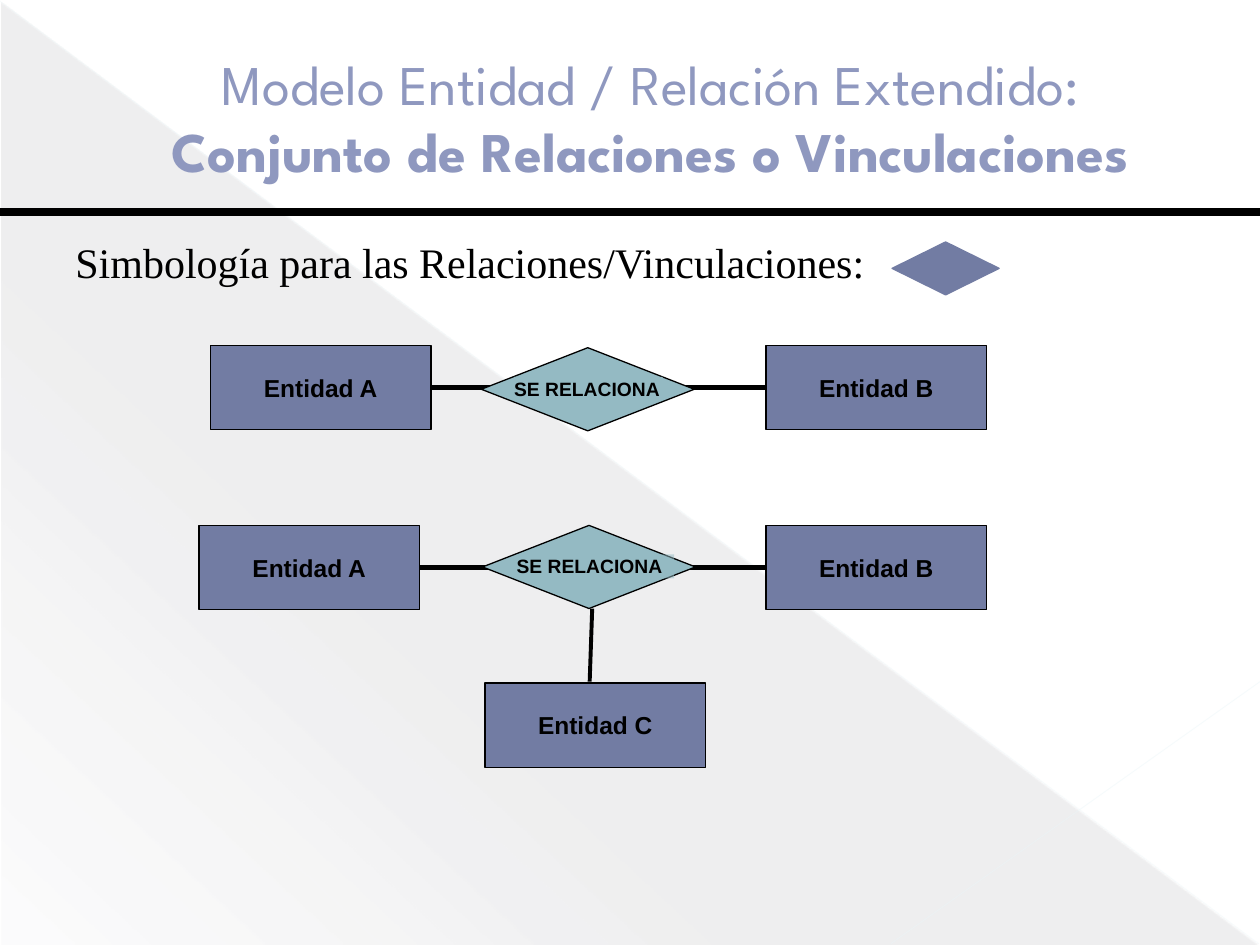
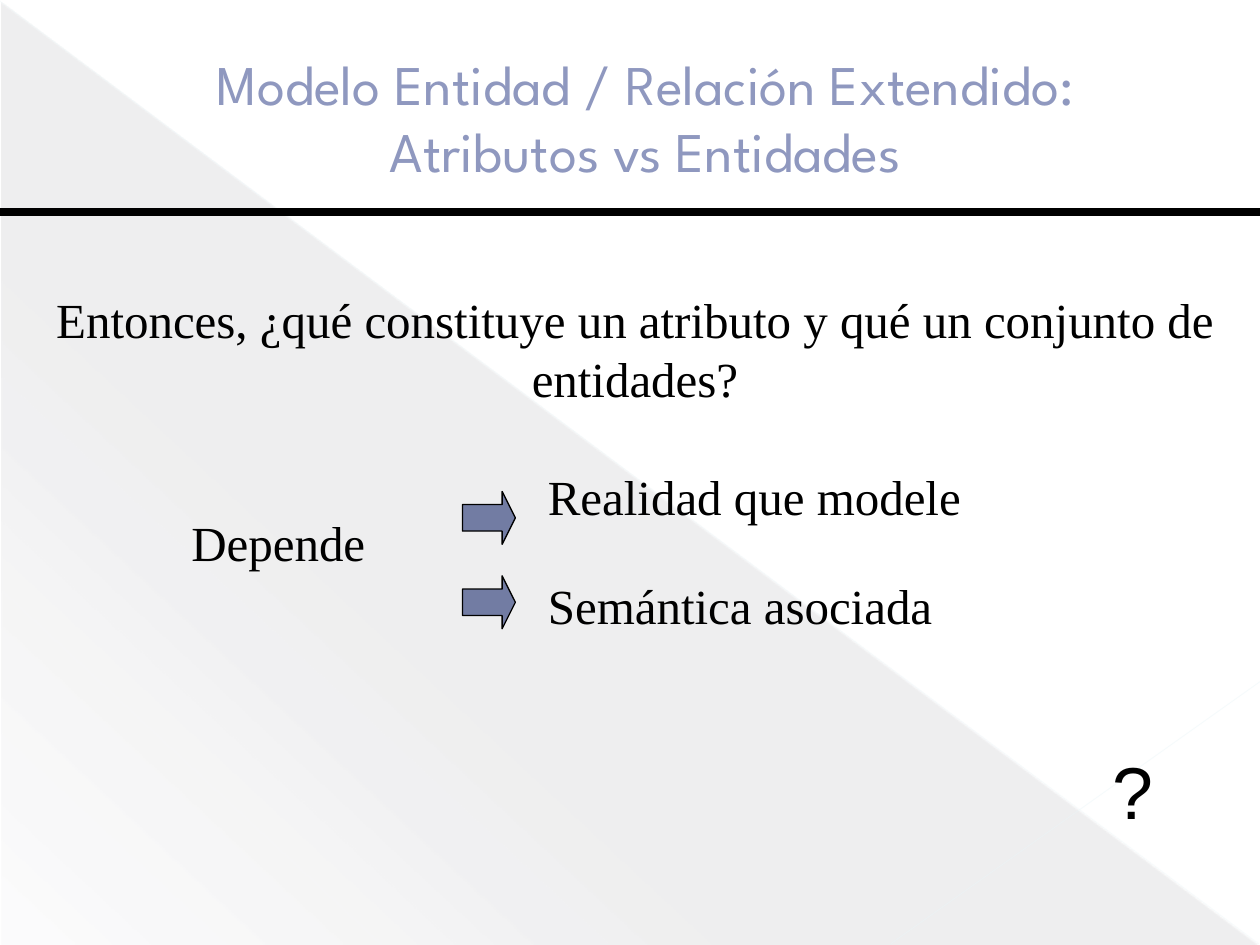
from lxml import etree
from pptx import Presentation
from pptx.dml.color import RGBColor
from pptx.enum.shapes import MSO_CONNECTOR, MSO_SHAPE
from pptx.enum.text import MSO_ANCHOR, MSO_AUTO_SIZE, PP_ALIGN
from pptx.oxml import parse_xml
from pptx.oxml.ns import nsdecls, qn
from pptx.util import Emu, Pt

PX = 9144  # EMU; 100 px to the inch
WIDTH, HEIGHT = 1000, 750
TITLE_ONLY = 5

STRAIGHT = MSO_CONNECTOR.STRAIGHT
RECTANGLE, DIAMOND = MSO_SHAPE.RECTANGLE, MSO_SHAPE.DIAMOND
RIGHT_ARROW, TRIANGLE = MSO_SHAPE.RIGHT_ARROW, MSO_SHAPE.RIGHT_TRIANGLE
LEFT, CENTER, RIGHT = PP_ALIGN.LEFT, PP_ALIGN.CENTER, PP_ALIGN.RIGHT
TOP, MIDDLE = MSO_ANCHOR.TOP, MSO_ANCHOR.MIDDLE
NO_FIT, GROW = MSO_AUTO_SIZE.NONE, MSO_AUTO_SIZE.SHAPE_TO_FIT_TEXT
LEFT_SIDE, RIGHT_SIDE = 1, 3

COLORS = {
    "ink": "000000",
    "title": "8F98BF",
    "title_edge": "4F5671",
    "entity": "727CA3",
    "relation": "94BAC3",
    "shade": "464653",
    "diagonal": "E9F6F9",
    "corner": "EBF6F9",
}
TITLE_FONT, BODY_FONT, LABEL_FONT = "League Spartan", "Times New Roman", "Arial"
SHADE_STOPS = ((0, 10), (70, 8), (100, 1))  # position and opacity, in percent
SHADE_ANGLE = 133
ENTITY_SIZE = (175, 67)
RELATION_SIZE = (169, 66)


def px(*lengths):
    return [Emu(length * PX) for length in lengths]


def rgb(name):
    return RGBColor.from_string(COLORS[name])


def set_opacity(element, percent):
    color = next(element.iter(qn("a:srgbClr")))
    etree.SubElement(color, qn("a:alpha")).set("val", str(percent * 1000))


def write(shape, text, size=28, font=BODY_FONT, color="ink", bold=False,
          bold_last=False, edge=None, align=LEFT, anchor=TOP, wrap=True,
          fit=NO_FIT, inset=None):
    """Fill a shape with one paragraph; each newline is a line break."""
    frame = shape.text_frame
    frame.word_wrap, frame.auto_size, frame.vertical_anchor = wrap, fit, anchor
    if inset is not None:
        (frame.margin_left, frame.margin_top,
         frame.margin_right, frame.margin_bottom) = px(*inset)
    para = frame.paragraphs[0]
    para.alignment = align
    lines = text.split("\n")
    for number, line in enumerate(lines, 1):
        if number > 1:
            para.add_line_break()
        span = para.add_run()
        span.text = line
        span.font.name, span.font.size = font, Pt(size)
        span.font.bold = bold or (bold_last and number == len(lines))
        span.font.color.rgb = rgb(color)
        if edge:
            span.font.color  # the outline goes before the fill
            outline = parse_xml(
                f'<a:ln {nsdecls("a")} w="{Pt(0.5)}"><a:solidFill>'
                f'<a:srgbClr val="{COLORS[edge]}"/></a:solidFill></a:ln>')
            span.font.fill._xPr.insert(0, outline)


class SlideBuilder:
    """Holds the deck, its shared layout and the current page."""

    def __init__(self):
        self.deck = Presentation()
        self.deck.slide_width, self.deck.slide_height = px(WIDTH, HEIGHT)
        self.layout = self.deck.slide_layouts[TITLE_ONLY]
        self.page = None

    def new_page(self, title, left, bold_last=False):
        first = self.page is None
        self.page = self.deck.slides.add_slide(self.layout)
        if first:
            self.decorate_layout()
        box = self.page.shapes.title
        box.left, box.top, box.width, box.height = px(left, 30, WIDTH - left, 125)
        write(box, title, size=32, font=TITLE_FONT, color="title",
              edge="title_edge", bold_last=bold_last, align=CENTER, anchor=MIDDLE)

    def decorate_layout(self):
        """Draw the shared background and move it into the layout."""
        shade = self.shape(TRIANGLE, (1, 2, 998, 748), "shade")
        self.fade(shade)
        diagonal = self.line((0, 1), (999, 749), 0.39, "diagonal", opacity=35)
        corner = self.line((1000, 541), (707, 749), 0.47, "corner", opacity=45)
        rule = self.line((0, 168), (WIDTH, 168), 4.5)
        tree = self.layout.shapes.element
        for number, item in enumerate((shade, diagonal, corner, rule)):
            item.element.xpath(".//p:cNvPr")[0].set("id", str(100 + number))
            tree.insert(2 + number, item.element)

    def fade(self, shape):
        stops = "".join(
            f'<a:gs pos="{position * 1000}"><a:srgbClr val="{COLORS["shade"]}">'
            f'<a:alpha val="{opacity * 1000}"/></a:srgbClr></a:gs>'
            for position, opacity in SHADE_STOPS)
        gradient = parse_xml(
            f'<a:gradFill {nsdecls("a")} rotWithShape="1"><a:gsLst>{stops}</a:gsLst>'
            f'<a:lin ang="{SHADE_ANGLE * 60000}" scaled="0"/></a:gradFill>')
        solid = shape.element.spPr.find(qn("a:solidFill"))
        shape.element.spPr.replace(solid, gradient)

    def shape(self, kind, place, fill, line=None, opacity=None):
        shape = self.page.shapes.add_shape(kind, *px(*place))
        shape.shadow.inherit = False
        shape.fill.solid()
        shape.fill.fore_color.rgb = rgb(fill)
        if opacity:
            set_opacity(shape.element.spPr, opacity)
        if line:
            shape.line.color.rgb = rgb(line)
            shape.line.width = Pt(0.75)
        else:
            shape.line.fill.background()
        return shape

    def line(self, start, end, width, color="ink", opacity=None):
        line = self.page.shapes.add_connector(STRAIGHT, *px(*start, *end))
        line.line.color.rgb = rgb(color)
        line.line.width = Pt(width)
        properties = line.element.spPr
        if opacity:
            set_opacity(properties, opacity)
        etree.SubElement(properties, qn("a:effectLst"))
        return line

    def join(self, left_entity, right_entity):
        link = self.line((0, 0), (0, 0), 3)
        link.begin_connect(left_entity, RIGHT_SIDE)
        link.end_connect(right_entity, LEFT_SIDE)

    def text(self, text, place, **style):
        box = self.page.shapes.add_textbox(*px(*place))
        write(box, text, fit=GROW, **style)

    def entity(self, name, left, top):
        box = self.shape(RECTANGLE, (left, top, *ENTITY_SIZE), "entity", "ink")
        write(box, name, size=14, font=LABEL_FONT, bold=True, align=CENTER,
              anchor=MIDDLE, wrap=False)
        return box

    def relation(self, left, top, label_place, opacity=None):
        self.shape(DIAMOND, (left, top, *RELATION_SIZE), "relation", "ink")
        label = self.shape(RECTANGLE, label_place, "relation", opacity=opacity)
        write(label, "SE RELACIONA", size=11, font=LABEL_FONT, bold=True,
              fit=GROW, inset=(0, 0, 0, 0))

    def arrow(self, left, top):
        arrow = self.shape(RIGHT_ARROW, (left, top, 42, 42), "entity", "ink")
        arrow.adjustments[0], arrow.adjustments[1] = 0.5, 0.25


def build_relations(builder):
    builder.new_page("Modelo Entidad / Relación Extendido:\n"
                     "Conjunto de Relaciones o Vinculaciones", 33, bold_last=True)
    builder.text("Simbología para las Relaciones/Vinculaciones:",
                 (50, 183, 892, 50), size=24)
    builder.shape(DIAMOND, (708, 192, 85, 42), "entity", "entity")

    for left, top in ((167, 274), (158, 417)):
        builder.join(builder.entity("Entidad A", left, top),
                     builder.entity("Entidad B", 608, top))
    builder.relation(382, 276, (408, 299, 118, 18))
    builder.line((470, 483), (468, 541), 2.25)
    builder.relation(383, 417, (410, 440, 125, 19), opacity=50)
    builder.entity("Entidad C", 385, 542)


def build_attributes(builder):
    builder.new_page("Modelo Entidad / Relación Extendido:\n"
                     "Atributos vs Entidades", 25)
    builder.text("Entonces, ¿qué constituye un atributo y qué un conjunto de entidades?",
                 (25, 225, 958, 103), align=CENTER)
    builder.text("Depende", (142, 402, 192, 57))
    factors = (("Realidad que modele", 365, 390), ("Semántica asociada", 452, 457))
    for factor, text_top, arrow_top in factors:
        builder.text(factor, (425, text_top, 392, 57))
        builder.arrow(367, arrow_top)
    builder.text("?", (804, 583, 121, 84), size=42, font=LABEL_FONT,
                 align=RIGHT, inset=(10, 9, 10, 5))


def main():
    builder = SlideBuilder()
    build_relations(builder)
    build_attributes(builder)
    builder.deck.save("out.pptx")


if __name__ == "__main__":
    main()
